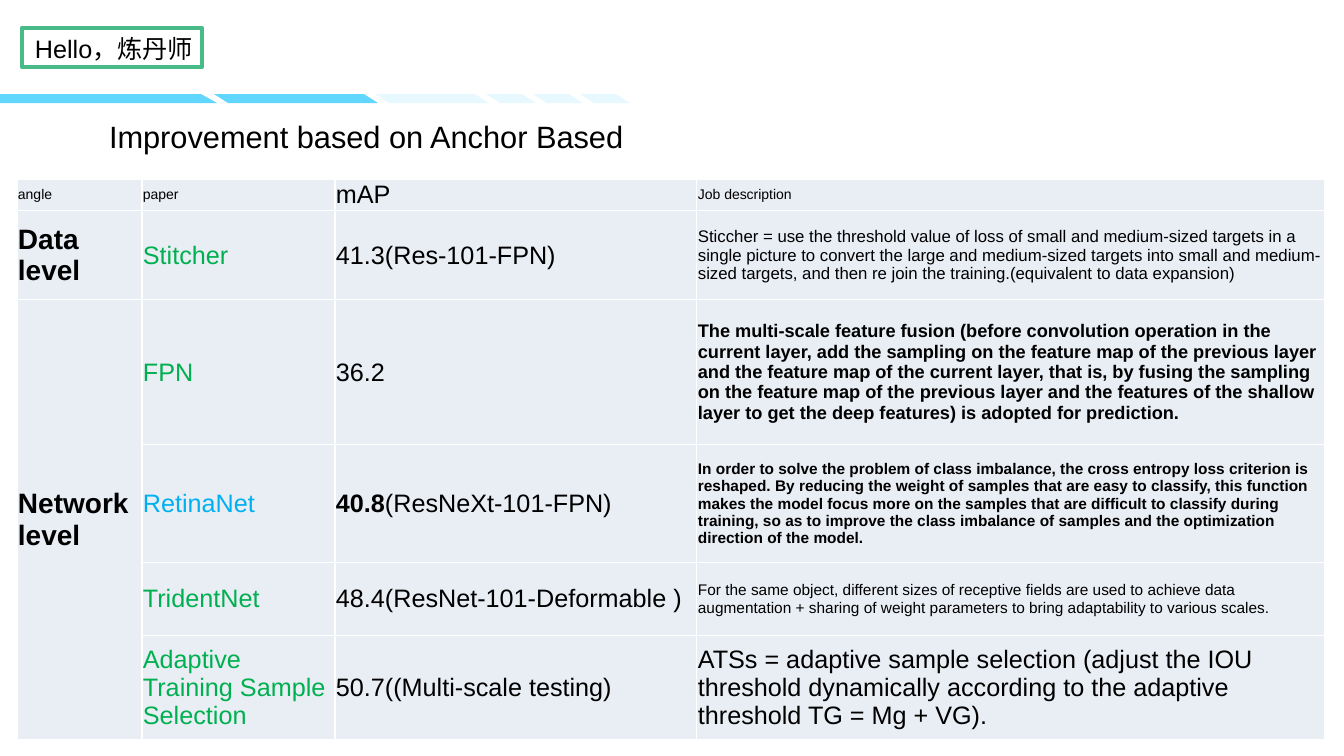
from lxml import etree
from pptx import Presentation
from pptx.dml.color import RGBColor
from pptx.enum.shapes import MSO_SHAPE
from pptx.enum.text import MSO_ANCHOR, PP_ALIGN
from pptx.oxml.ns import qn
from pptx.util import Pt

RECTANGLE = MSO_SHAPE.RECTANGLE
TOP, MIDDLE = MSO_ANCHOR.TOP, MSO_ANCHOR.MIDDLE
LEFT = PP_ALIGN.LEFT

BLACK = RGBColor(0x00, 0x00, 0x00)
WHITE = RGBColor(0xFF, 0xFF, 0xFF)
SKY = RGBColor(0x61, 0xD6, 0xFE)
FRAME_GREEN = RGBColor(0x49, 0xBB, 0x88)
PAPER_GREEN = RGBColor(0x00, 0xB0, 0x50)
PAPER_BLUE = RGBColor(0x00, 0xB0, 0xF0)
CELL_FILL = RGBColor(0xE9, 0xED, 0xF4)

FONT = "Arial"
EMU_PER_PX = 914400 / 100.8
TITLE_ONLY = 5
BAND_TOP, BAND_BOTTOM, BAND_SLANT = 94, 103, 14

COLUMNS = [125, 193, 362, 628]
ROWS = [30, 89, 145, 118, 73, 104]


def px(value):
    return round(value * EMU_PER_PX)


def run(text, size=18, bold=False, color=BLACK):
    return text, size, bold, color


def paper(name, color=PAPER_GREEN):
    return [run(name, color=color)]


def slanted(left, right):
    return left, right, right + BAND_SLANT, left + BAND_SLANT


CELLS = [
    [[run("angle", 10)], [run("paper", 10)], [run("mAP")], [run("Job description", 10)]],
    [[run("Data level", 20, True)], paper("Stitcher"), [run("41.3(Res-101-FPN)")],
     [run("Sticcher = use the threshold value of loss of small and medium-sized targets in a "
          "single picture to convert the large and medium-sized targets into small and "
          "medium-sized targets, and then re join the training.(equivalent to data expansion)",
          12)]],
    [[run("Network level", 20, True)], paper("FPN"), [run("36.2")],
     [run("The multi-scale feature fusion (before convolution operation in the current layer, "
          "add the sampling on the feature map of the previous layer and the feature map of the "
          "current layer, that is, by fusing the sampling on the feature map of the previous "
          "layer and the features of the shallow layer to get the deep features) is adopted for "
          "prediction.", 13, True)]],
    [[], paper("RetinaNet", PAPER_BLUE), [run("40.8", bold=True), run("(ResNeXt-101-FPN)")],
     [run("In order to solve the problem of class imbalance, the cross entropy loss criterion is "
          "reshaped. By reducing the weight of samples that are easy to classify, this function "
          "makes the model focus more on the samples that are difficult to classify during "
          "training, so as to improve the class imbalance of samples and the optimization "
          "direction of the model.", 11, True)]],
    [[], paper("TridentNet"), [run("48.4(ResNet-101-Deformable )")],
     [run("For the same object, different sizes of receptive fields are used to achieve data "
          "augmentation + sharing of weight parameters to bring adaptability to various scales.",
          11)]],
    [[], paper("Adaptive Training Sample Selection"), [run("50.7((Multi-scale testing)")],
     [run("ATSs = adaptive sample selection (adjust the IOU threshold dynamically according to "
          "the adaptive threshold TG = Mg + VG).")]],
]


class SlideBuilder:
    def __init__(self, presentation):
        self.slide = presentation.slides.add_slide(presentation.slide_layouts[TITLE_ONLY])
        self.shapes = self.slide.shapes

    def add_runs(self, text_frame, runs):
        paragraph = text_frame.paragraphs[0]
        paragraph.alignment = LEFT
        for text, size, bold, color in runs:
            text_run = paragraph.add_run()
            text_run.text = text
            text_run.font.name = FONT
            text_run.font.size = Pt(size)
            text_run.font.bold = bold
            text_run.font.color.rgb = color

    def title(self, left, top, width, height, runs):
        title = self.shapes.title
        title.left, title.top, title.width, title.height = map(px, (left, top, width, height))
        text_frame = title.text_frame
        text_frame.margin_left = text_frame.margin_right = 0
        text_frame.margin_top = text_frame.margin_bottom = 0
        text_frame.vertical_anchor = TOP
        text_frame.word_wrap = True
        self.add_runs(text_frame, runs)

    def text(self, left, top, width, height, runs):
        box = self.shapes.add_textbox(*map(px, (left, top, width, height)))
        box.text_frame.word_wrap = True
        self.add_runs(box.text_frame, runs)

    def frame(self, left, top, width, height, color, line_width):
        shape = self.shapes.add_shape(RECTANGLE, *map(px, (left, top, width, height)))
        shape.shadow.inherit = False
        shape.fill.background()
        shape.line.color.rgb = color
        shape.line.width = Pt(line_width)

    def bands(self, outlines, color, alpha=100):
        builder = self.shapes.build_freeform(px(outlines[0][0]), px(BAND_TOP))
        for index, (top_left, top_right, bottom_right, bottom_left) in enumerate(outlines):
            if index:
                builder.move_to(px(top_left), px(BAND_TOP))
            builder.add_line_segments([
                (px(top_right), px(BAND_TOP)),
                (px(bottom_right), px(BAND_BOTTOM)),
                (px(bottom_left), px(BAND_BOTTOM)),
            ])
        shape = builder.convert_to_shape()
        shape.shadow.inherit = False
        shape.line.fill.background()
        shape.fill.solid()
        shape.fill.fore_color.rgb = color
        if alpha < 100:
            fill_color = shape.element.spPr.find(".//" + qn("a:srgbClr"))
            etree.SubElement(fill_color, qn("a:alpha"), val=str(alpha * 1000))

    def border(self, cell, color, width):
        properties = cell._tc.get_or_add_tcPr()
        for side in ("a:lnL", "a:lnR", "a:lnT", "a:lnB"):
            line = etree.SubElement(properties, qn(side), w=str(Pt(width)))
            fill = etree.SubElement(line, qn("a:solidFill"))
            etree.SubElement(fill, qn("a:srgbClr"), val=str(color))

    def table(self, left, top, columns, rows, cells):
        graphic_frame = self.shapes.add_table(
            len(rows), len(columns), px(left), px(top), px(sum(columns)), px(sum(rows)))
        table = graphic_frame.table
        table.first_row = table.horz_banding = False
        for column, width in zip(table.columns, columns):
            column.width = px(width)
        for row, height, contents in zip(table.rows, rows, cells):
            row.height = px(height)
            for cell, runs in zip(row.cells, contents):
                cell.margin_left = cell.margin_right = cell.margin_top = px(1)
                cell.margin_bottom = 0
                cell.vertical_anchor = MIDDLE
                self.border(cell, WHITE, 1)
                cell.fill.solid()
                cell.fill.fore_color.rgb = CELL_FILL
                self.add_runs(cell.text_frame, runs)
        return table


def main():
    presentation = Presentation()
    presentation.slide_width = px(1344)
    presentation.slide_height = px(756)
    builder = SlideBuilder(presentation)
    builder.bands([(0, 201, 217, 0), slanted(214, 364)], SKY)
    small_bands = [slanted(left, left + 36) for left in range(486, 581, 47)]
    builder.bands([slanted(375, 475)] + small_bands, SKY, alpha=15)
    builder.frame(22, 28, 180, 39, FRAME_GREEN, 3)
    builder.text(25, 28, 512, 31, [run("Hello，炼丹师")])
    builder.title(109, 118, 562, 54, [run("Improvement based on Anchor Based", 22)])
    table = builder.table(17, 179, COLUMNS, ROWS, CELLS)
    table.cell(2, 0).merge(table.cell(5, 0))
    presentation.save("out.pptx")


if __name__ == "__main__":
    main()
